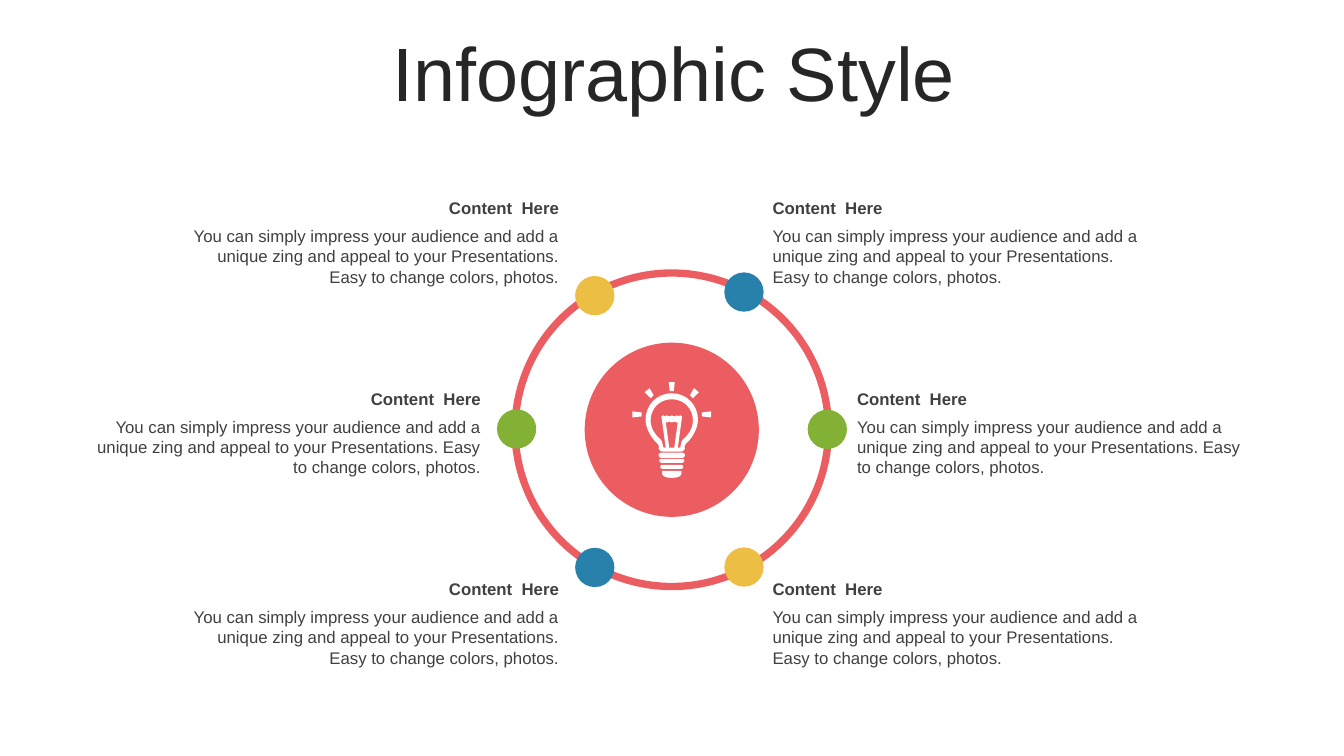
from lxml import etree
from pptx import Presentation
from pptx.dml.color import RGBColor
from pptx.enum.shapes import MSO_SHAPE
from pptx.enum.text import MSO_ANCHOR, MSO_AUTO_SIZE, PP_ALIGN
from pptx.oxml.ns import qn
from pptx.util import Cm, Pt

OVAL = MSO_SHAPE.OVAL
TOP, MIDDLE = MSO_ANCHOR.TOP, MSO_ANCHOR.MIDDLE
LEFT, CENTER, RIGHT = PP_ALIGN.LEFT, PP_ALIGN.CENTER, PP_ALIGN.RIGHT
NO_FIT, GROW = MSO_AUTO_SIZE.NONE, MSO_AUTO_SIZE.SHAPE_TO_FIT_TEXT

FONT = "Arial"
RED, BLUE, YELLOW, GREEN = "EC5D62", "2781AB", "EDBE44", "82B135"
WHITE, TITLE_GREY, TEXT_GREY = "FFFFFF", "262626", "404040"

HEADING = "Content  Here"
BODY = ("You can simply impress your audience and add a unique zing and appeal "
        "to your Presentations. Easy to change colors, photos.")

# Centre of the ring, in cm
CENTER_X, CENTER_Y = 16.93, 10.83

# Dots: centre x, centre y, colour
DOTS = [
    (18.75, 7.36, BLUE), (18.75, 14.29, YELLOW), (20.85, 10.82, GREEN),
    (14.99, 7.45, YELLOW), (14.99, 14.3, BLUE), (13.02, 10.81, GREEN),
]

# Text blocks: left, width, alignment for the outer rows and the middle row
OUTER_BLOCKS = [(19.47, 9.65, LEFT), (4.69, 9.65, RIGHT)]
MIDDLE_BLOCKS = [(21.6, 10.06, LEFT), (2.26, 10.11, RIGHT)]
TEXT_ROWS = [(4.86, OUTER_BLOCKS), (9.66, MIDDLE_BLOCKS), (14.46, OUTER_BLOCKS)]

# Light bulb, right halves of symmetric outlines: a pair is a corner,
# six numbers are a Bezier curve (two controls and an end)
BULB_UNIT = 0.0254
BULB_TOP = 9.63
GLASS = [(0, 11), (15, 11, 26, 23, 26, 37), (26, 47, 19, 57, 14, 61),
         (12, 63, 13, 64, 13, 66), (12, 68, 11, 69, 9, 69)]
GLASS_INSIDE = [(0, 17), (12, 17, 21, 26, 21, 38), (21, 46, 16, 53, 11, 57),
                (9, 59, 10, 59, 9, 62), (8, 65, 9, 65, 7, 65), (6, 65),
                (10, 36), (11, 35, 10, 33, 9, 33), (8, 33, 7, 33, 7, 34),
                (6, 34, 6, 33, 5, 33), (4, 33, 3, 33, 2.5, 34),
                (2, 34, 1, 33, 0, 33)]
FILAMENT = [(0, 40), (1, 40, 2, 40, 3, 39), (3, 40, 4, 40, 5, 40),
            (5, 40, 6, 40, 6, 39.5), (2.5, 65)]
BULB_BASE = [(9.5, 88), (9.5, 91), (9.5, 93, 6, 95, 0, 95)]
TOP_RAY = [(3, 0), (2, 9)]
SIDE_RAYS = [[(39, 29), (39, 35), (30, 34), (30, 30)],
             [(22, 6), (27, 10), (21, 16), (18, 13)]]
# Screw threads: half width, top, bottom
THREADS = [(13, 70, 75), (12.5, 76, 80), (11.5, 82, 86)]


def color(hex_string):
    return RGBColor.from_string(hex_string)


def format_text(frame, text, size, font_color, alignment, anchor, bold=False):
    frame.word_wrap = True
    frame.vertical_anchor = anchor
    frame.text = text
    paragraph = frame.paragraphs[0]
    paragraph.alignment = alignment
    font = paragraph.font
    font.name, font.size, font.bold = FONT, Pt(size), bold
    font.color.rgb = color(font_color)
    return paragraph


def add_title(slide, text):
    title = slide.shapes.title
    title.left, title.top = Cm(0.9), Cm(0.94)
    title.width, title.height = Cm(32.16), Cm(2.01)
    paragraph = format_text(title.text_frame, text, 54, TITLE_GREY, CENTER, MIDDLE)
    paragraph.line_spacing = 0.9
    title.text_frame.auto_size = NO_FIT


def add_circle(slide, center_x, center_y, diameter, fill=None, line=None):
    circle = slide.shapes.add_shape(
        OVAL, Cm(center_x - diameter / 2), Cm(center_y - diameter / 2),
        Cm(diameter), Cm(diameter))
    circle.shadow.inherit = False
    if fill:
        circle.fill.solid()
        circle.fill.fore_color.rgb = color(fill)
    else:
        circle.fill.background()
    if line:
        circle.line.color.rgb = color(line)
        circle.line.width = Pt(5.25)
    else:
        circle.line.fill.background()


def add_text(slide, left, top, width, height, text, alignment, anchor, bold=False):
    box = slide.shapes.add_textbox(Cm(left), Cm(top), Cm(width), Cm(height))
    frame = box.text_frame
    frame.margin_left = 0
    format_text(frame, text, 12, TEXT_GREY, alignment, anchor, bold)
    frame.auto_size = GROW


def add_text_block(slide, left, top, width, alignment):
    add_text(slide, left, top, width, 0.76, HEADING, alignment, MIDDLE, bold=True)
    add_text(slide, left, top + 0.71, width, 1.8, BODY, alignment, TOP)


def nodes_of(outline):
    """List the points of an outline as x, y, is_control."""
    return [(*part[i:i + 2], i + 2 < len(part))
            for part in outline for i in range(0, len(part), 2)]


def mirror(nodes):
    return [(-x, y, is_control) for x, y, is_control in reversed(nodes)]


def thread(half, top, bottom):
    return [(half - 2, top), (half - 1, top, half, top + 1, half, top + 2),
            (half, bottom - 2),
            (half, bottom - 1, half - 1, bottom, half - 2, bottom)]


def bend_curves(shape, control_flags):
    """Join each two control points and the next point into a Bezier curve."""
    segments = list(shape.element.iter(qn("a:lnTo")))
    index = 0
    while index < len(segments):
        if not control_flags[index]:
            index += 1
            continue
        group = segments[index:index + 3]
        curve = etree.Element(qn("a:cubicBezTo"))
        group[0].addprevious(curve)
        for segment in group:
            curve.append(segment[0])
            segment.getparent().remove(segment)
        index += 3


def add_bulb(slide):
    halves = [GLASS, GLASS_INSIDE, FILAMENT, BULB_BASE, TOP_RAY]
    halves += [thread(*measures) for measures in THREADS]
    contours = [nodes + mirror(nodes) for nodes in map(nodes_of, halves)]
    for ray in map(nodes_of, SIDE_RAYS):
        contours += [ray, mirror(ray)]

    builder = None
    control_flags = []
    for contour in contours:
        points = [(Cm(CENTER_X + x * BULB_UNIT), Cm(BULB_TOP + y * BULB_UNIT))
                  for x, y, _ in contour]
        if builder is None:
            builder = slide.shapes.build_freeform(*points[0])
        else:
            builder.move_to(*points[0])
        builder.add_line_segments(points[1:], close=True)
        control_flags += [is_control for _, _, is_control in contour[1:]]
        if points[-1] != points[0]:
            control_flags += [False] * 0
    bulb = builder.convert_to_shape()
    bend_curves(bulb, control_flags)
    bulb.shadow.inherit = False
    bulb.fill.solid()
    bulb.fill.fore_color.rgb = color(WHITE)
    bulb.line.fill.background()


def main():
    presentation = Presentation()
    presentation.slide_width, presentation.slide_height = Cm(33.87), Cm(19.05)
    slide = presentation.slides.add_slide(presentation.slide_layouts[5])
    add_title(slide, "Infographic Style")

    # Disc, ring and dots
    add_circle(slide, CENTER_X, CENTER_Y, 4.39, fill=RED)
    add_circle(slide, CENTER_X, CENTER_Y, 7.9, line=RED)
    for center_x, center_y, dot_color in DOTS:
        add_circle(slide, center_x, center_y, 0.99, fill=dot_color)

    # Texts around the ring
    for top, blocks in TEXT_ROWS:
        for left, width, alignment in blocks:
            add_text_block(slide, left, top, width, alignment)

    add_bulb(slide)
    presentation.save("out.pptx")


if __name__ == "__main__":
    main()
